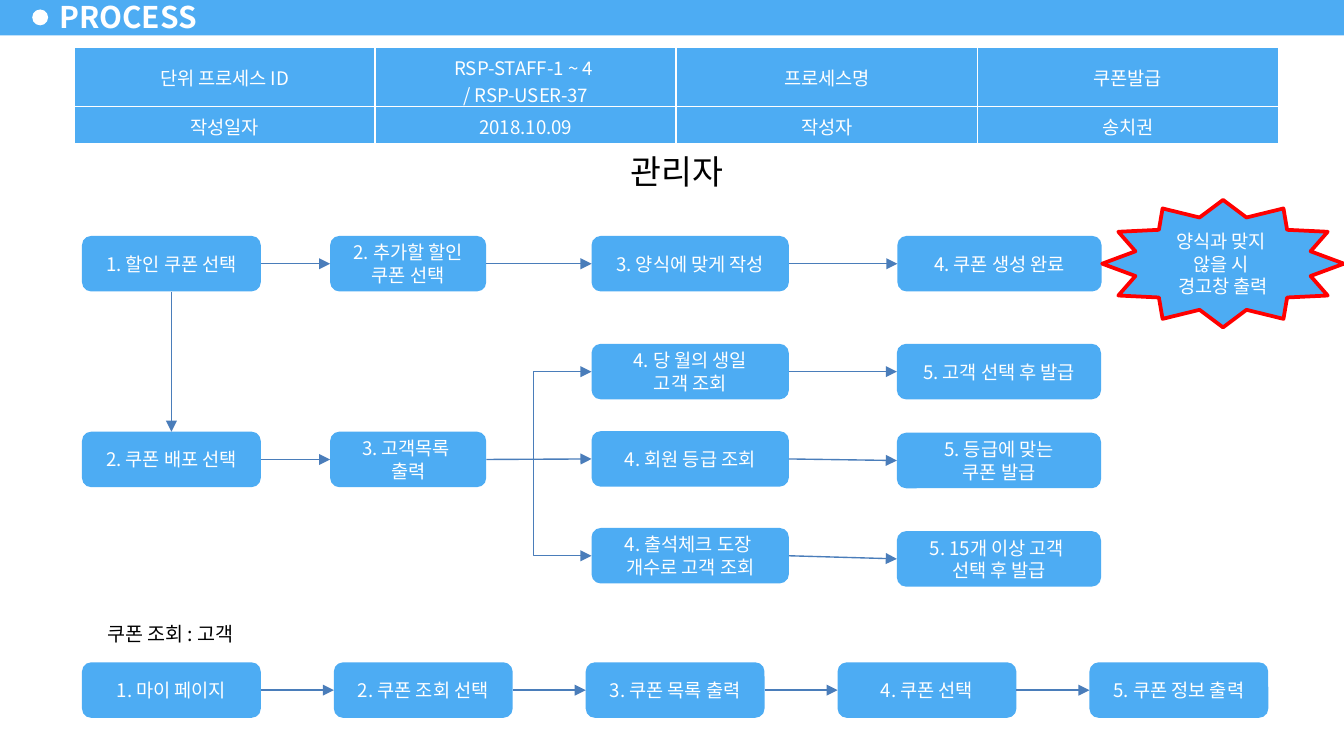
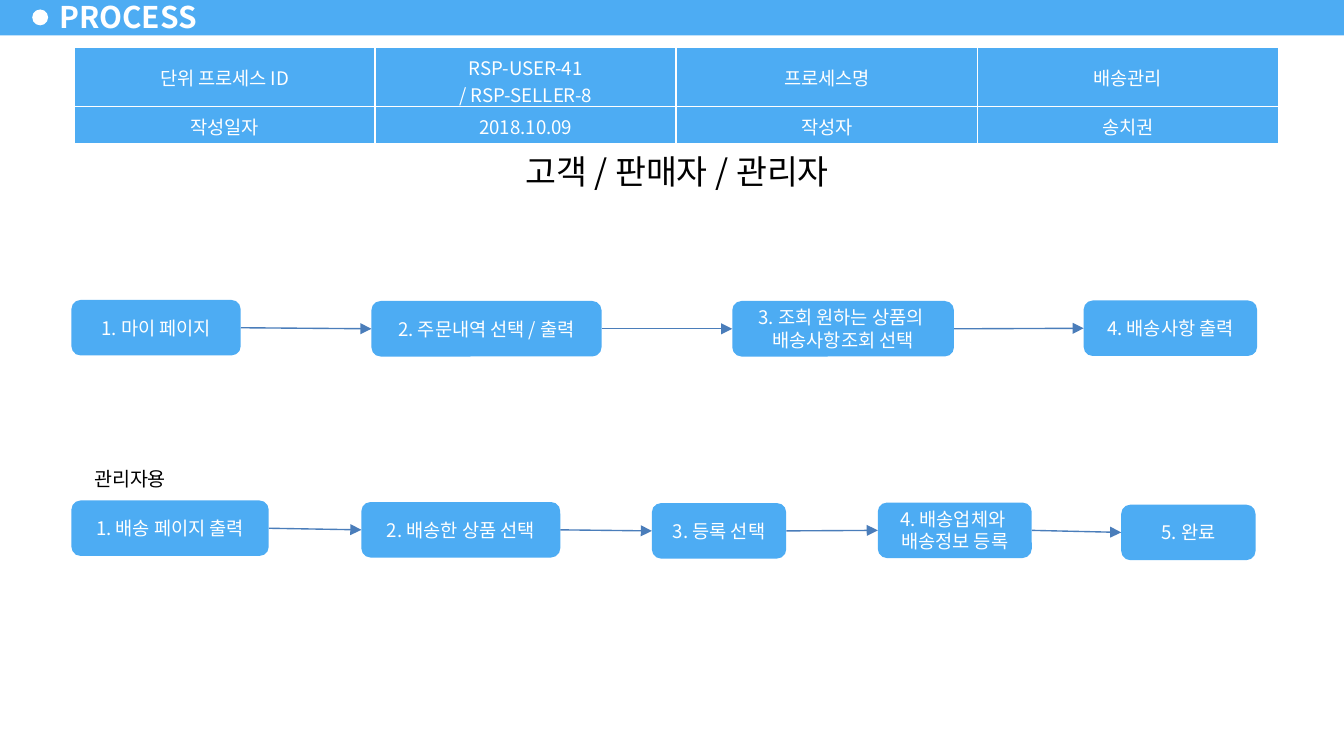
from lxml.etree import SubElement
from pptx import Presentation
from pptx.dml.color import RGBColor
from pptx.enum.shapes import MSO_CONNECTOR as Connector, MSO_SHAPE as Preset
from pptx.enum.text import MSO_ANCHOR as Anchor, MSO_AUTO_SIZE as AutoSize, PP_ALIGN as Align
from pptx.oxml.ns import qn
from pptx.util import Cm, Pt

COLORS = {"blue": "4DACF3", "arrow": "4A7DBA", "white": "FFFFFF", "black": "000000", "red": "FF0000"}
FONT = "Noto Sans CJK KR"
BOX_HEIGHT = 1.05
TOP, LEFT, BOTTOM, RIGHT = range(4)
BAND = (0, -0.05, 25.4, 0.72)
DOT = (0.61, 0.18, 0.3, 0.3)
TITLE = (0.89, -0.1, 3.1, 0.81)
TABLE = (1.4, 0.9, 8.33, 8.33)
COLUMN_WIDTH, ROW_HEIGHTS = 5.69, (1.11, 0.7)
HEADING = (8.26, 2.72, 9.07, 1.02)

LOOKUP_STEPS = ["1. 마이 페이지", "2. 쿠폰 조회 선택", "3. 쿠폰 목록 출력", "4. 쿠폰 선택", "5. 쿠폰 정보 출력"]

SLIDES = [
    {
        "ids": "RSP-STAFF-1 ~ 4 \n/ RSP-USER-37",
        "name": "쿠폰발급",
        "heading": "관리자",
        "label": ("쿠폰 조회 : 고객", (1.52, 11.63, 3.4, 0.71)),
        "rows": [
            [("1. 할인 쿠폰 선택", 1.55, 4.46, 3.38), ("2. 추가할 할인\n쿠폰 선택", 6.24, 4.46, 2.95),
             ("3. 양식에 맞게 작성", 11.18, 4.46, 3.73), ("4. 쿠폰 생성 완료", 16.96, 4.46, 3.86)],
            [("2. 쿠폰 배포 선택", 1.55, 8.16, 3.38), ("3. 고객목록 \n출력", 6.24, 8.16, 2.95),
             ("4. 회원 등급 조회", 11.18, 8.15, 3.73), ("5. 등급에 맞는\n쿠폰 발급", 16.95, 8.18, 3.86)],
            [("4. 당 월의 생일\n고객 조회", 11.18, 6.5, 3.73), ("5. 고객 선택 후 발급", 16.95, 6.5, 3.86)],
            [("4. 출석체크 도장 \n개수로 고객 조회", 11.18, 9.98, 3.73),
             ("5. 15개 이상 고객 \n선택 후 발급", 16.95, 10.04, 3.86)],
            [(text, 1.55 + 4.76 * index, 12.52, 3.38) for index, text in enumerate(LOOKUP_STEPS)],
        ],
        "drops": [(0, 1)],
        "branches": [(10.08, 8.72, 2), (10.08, 8.72, 3)],
        "warning": ("양식과 맞지 \v않을 시 \v경고창 출력", (20.83, 3.78, 4.57, 2.41)),
    },
    {
        "ids": "RSP-USER-41\n/ RSP-SELLER-8",
        "name": "배송관리",
        "heading": "고객 / 판매자 / 관리자",
        "label": ("관리자용", (1.38, 8.71, 2.16, 0.71)),
        "rows": [
            [("1. 마이 페이지", 1.35, 5.67, 3.2), ("2. 주문내역 선택 / 출력", 7.02, 5.69, 4.35),
             ("3. 조회 원하는 상품의 \v배송사항조회 선택", 13.84, 5.69, 4.19), ("4. 배송사항 출력", 20.48, 5.68, 3.28)],
            [("1. 배송 페이지 출력", 1.35, 9.46, 3.73), ("2. 배송한 상품 선택", 6.83, 9.49, 3.76),
             ("3. 등록 선택", 12.32, 9.51, 2.54), ("4. 배송업체와 \n배송정보 등록", 16.59, 9.5, 2.91),
             ("5. 완료", 21.19, 9.54, 2.54)],
        ],
        "drops": [],
        "branches": [],
        "warning": None,
    },
]


def color(name):
    return RGBColor.from_string(COLORS[name])


def lengths(values):
    return [Cm(value) for value in values]


def write(frame, text, size=10, tint="white", align=Align.CENTER, bold=False):
    for index, line in enumerate(text.split("\n")):
        paragraph = frame.add_paragraph() if index else frame.paragraphs[0]
        paragraph.alignment = align
        for part_index, part in enumerate(line.split("\v")):
            if part_index:
                paragraph.add_line_break()
            run = paragraph.add_run()
            run.text = part
            run.font.size, run.font.bold, run.font.name = Pt(size), bold, FONT
            run.font.color.rgb = color(tint)
            SubElement(run.font._element, qn("a:ea"), typeface=FONT)


def add_shape(slide, preset, place, fill="blue", outline=None):
    shape = slide.shapes.add_shape(preset, *lengths(place))
    shape.shadow.inherit = False
    shape.fill.solid()
    shape.fill.fore_color.rgb = color(fill)
    if outline:
        shape.line.color.rgb = color(outline)
        shape.line.width = Pt(2)
    else:
        shape.line.fill.background()
    return shape


def add_box(slide, text, left, top, width):
    shape = add_shape(slide, Preset.ROUNDED_RECTANGLE, (left, top, width, BOX_HEIGHT))
    shape.text_frame.word_wrap = True
    write(shape.text_frame, text)
    return shape


def add_label(slide, text, place, size):
    frame = add_shape(slide, Preset.RECTANGLE, place, "white").text_frame
    frame.word_wrap = True
    frame.vertical_anchor = Anchor.TOP
    frame.auto_size = AutoSize.SHAPE_TO_FIT_TEXT
    write(frame, text, size, "black")


def style_arrow(connector):
    connector.line.color.rgb = color("arrow")
    connector.line.width = Pt(0.75)
    SubElement(connector.line._get_or_add_ln(), qn("a:tailEnd"), type="triangle")
    SubElement(connector.element.spPr, qn("a:effectLst"))


def link(slide, start, end, start_site=RIGHT, end_site=LEFT):
    connector = slide.shapes.add_connector(Connector.STRAIGHT, 0, 0, 0, 0)
    connector.begin_connect(start, start_site)
    connector.end_connect(end, end_site)
    style_arrow(connector)


def branch(slide, x, y, target):
    end_y = target.top + target.height // 2
    center_x, center_y = (x + target.left) // 2, (y + end_y) // 2
    half_rise, half_run = (y - end_y) // 2, (target.left - x) // 2
    connector = slide.shapes.add_connector(
        Connector.ELBOW, center_x - half_rise, center_y - half_run, center_x + half_rise, center_y + half_run)
    properties = connector.element.spPr
    properties.find(qn("a:xfrm")).set("rot", "16200000")
    properties.find(qn("a:prstGeom")).set("prst", "bentConnector2")
    style_arrow(connector)


def add_info_table(slide, rows):
    graphic = slide.shapes.add_table(len(rows), len(rows[0]), *lengths(TABLE))
    table = graphic.table
    for column in table.columns:
        column.width = Cm(COLUMN_WIDTH)
    for row, height in zip(table.rows, ROW_HEIGHTS):
        row.height = Cm(height)
    graphic.width, graphic.height = lengths(TABLE[2:])
    for row_index, texts in enumerate(rows):
        for column_index, text in enumerate(texts):
            cell = table.cell(row_index, column_index)
            cell.vertical_anchor = Anchor.MIDDLE
            write(cell.text_frame, text)
            properties = cell._tc.get_or_add_tcPr()
            for side in ("lnL", "lnR", "lnT", "lnB"):
                line = SubElement(properties, qn("a:" + side), w=str(Pt(1)))
                SubElement(SubElement(line, qn("a:solidFill")), qn("a:srgbClr"), val=COLORS["white"])
            cell.fill.solid()
            cell.fill.fore_color.rgb = color("blue")


def add_title(slide):
    title = slide.shapes.title
    title.left, title.top, title.width, title.height = lengths(TITLE)
    frame = title.text_frame
    frame.word_wrap = True
    frame.auto_size = AutoSize.NONE
    frame.vertical_anchor = Anchor.MIDDLE
    frame.margin_left = frame.margin_right = Cm(0.23)
    frame.margin_top = frame.margin_bottom = Cm(0.1)
    write(frame, "PROCESS", 16, align=Align.LEFT, bold=True)


def decorate_layout(layout, slide):
    band = add_shape(slide, Preset.RECTANGLE, BAND)
    dot = add_shape(slide, Preset.OVAL, DOT, "white")
    for index, shape in enumerate((band, dot)):
        layout.shapes.element.insert(2 + index, shape.element)


def build_slide(slide, content):
    add_title(slide)
    add_label(slide, content["heading"], HEADING, 18)
    add_info_table(slide, [
        ("단위 프로세스 ID", content["ids"], "프로세스명", content["name"]),
        ("작성일자", "2018.10.09", "작성자", "송치권"),
    ])
    rows = [[add_box(slide, *box) for box in row] for row in content["rows"]]
    if content["warning"]:
        text, place = content["warning"]
        star = add_shape(slide, Preset.STAR_12_POINT, place, outline="red")
        star.text_frame.word_wrap = True
        write(star.text_frame, text)
    for row in rows:
        for start, end in zip(row, row[1:]):
            link(slide, start, end)
    for upper, lower in content["drops"]:
        link(slide, rows[upper][0], rows[lower][0], BOTTOM, TOP)
    for x, y, row_index in content["branches"]:
        branch(slide, Cm(x), Cm(y), rows[row_index][0])
    add_label(slide, *content["label"], 10.5)


def main():
    """Build the process slides and save them."""
    presentation = Presentation()
    presentation.slide_width, presentation.slide_height = Cm(25.4), Cm(14.29)
    layout = presentation.slide_layouts[5]
    slides = [presentation.slides.add_slide(layout) for content in SLIDES]
    decorate_layout(layout, slides[0])
    for slide, content in zip(slides, SLIDES):
        build_slide(slide, content)
    presentation.save("out.pptx")


main()
